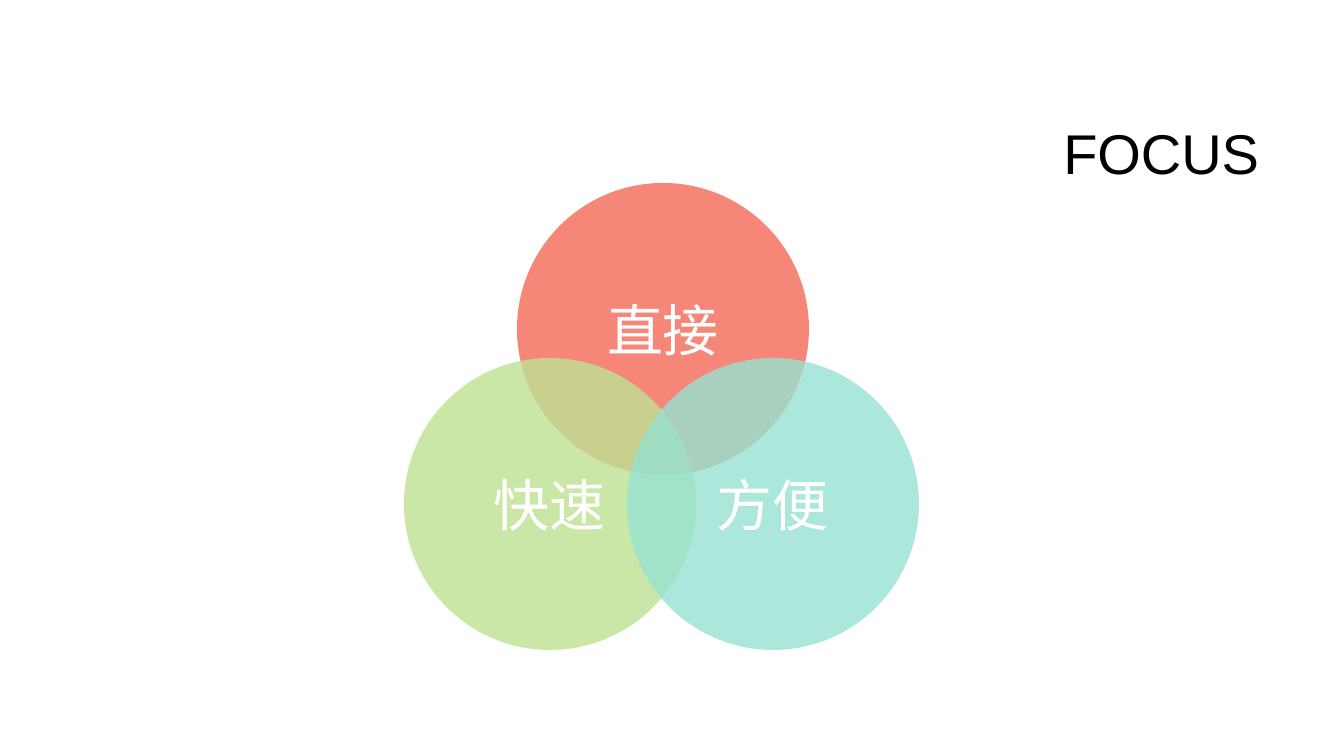
"""Builds the FOCUS slide: three overlapping translucent circles."""
import lxml.etree
import pptx
import pptx.dml.color
import pptx.enum.shapes
import pptx.enum.text
import pptx.oxml.ns
import pptx.util

PX = 914400 / 100.8
COLORS = {
    "title": "000000",
    "label": "FFFFFF",
    "direct": "F46856",
    "fast": "BEE292",
    "convenient": "96E2D2",
}


def px(length):
    return pptx.util.Emu(round(length * PX))


class FocusSlide:
    latin_font = "Arial"
    cjk_font = "Noto Sans CJK TC"
    text_size = 40
    opacity = 80

    def __init__(self, deck):
        self.slide = deck.slides.add_slide(deck.slide_layouts[6])

    def color(self, name):
        return pptx.dml.color.RGBColor.from_string(COLORS[name])

    def set_text(self, frame, text, font_name, color, align):
        frame.text = text
        frame.word_wrap = True
        frame.vertical_anchor = pptx.enum.text.MSO_ANCHOR.MIDDLE
        paragraph = frame.paragraphs[0]
        paragraph.alignment = align
        run = paragraph.runs[0]
        run.font.name = font_name
        run.font.size = pptx.util.Pt(self.text_size)
        run.font.color.rgb = self.color(color)
        east_asian = lxml.etree.SubElement(run.font._element, pptx.oxml.ns.qn("a:ea"))
        east_asian.set("typeface", font_name)
        return paragraph

    def title(self, text, left, top, width, height):
        box = self.slide.shapes.add_textbox(px(left), px(top), px(width), px(height))
        heading = self.set_text(box.text_frame, text, self.latin_font, "title",
                                pptx.enum.text.PP_ALIGN.RIGHT)
        heading.line_spacing = 0.9

    def circle(self, text, color, left, top, diameter):
        circle = self.slide.shapes.add_shape(
            pptx.enum.shapes.MSO_SHAPE.OVAL,
            px(left), px(top), px(diameter), px(diameter))
        circle.shadow.inherit = False
        circle.line.fill.background()
        circle.fill.solid()
        circle.fill.fore_color.rgb = self.color(color)
        tint = circle._element.spPr.find(
            pptx.oxml.ns.qn("a:solidFill") + "/" + pptx.oxml.ns.qn("a:srgbClr"))
        alpha = lxml.etree.SubElement(tint, pptx.oxml.ns.qn("a:alpha"))
        alpha.set("val", str(self.opacity * 1000))
        self.set_text(circle.text_frame, text, self.cjk_font, "label",
                      pptx.enum.text.PP_ALIGN.CENTER)


def main():
    deck = pptx.Presentation()
    deck.slide_width, deck.slide_height = px(1344), px(756)
    focus = FocusSlide(deck)
    focus.title("FOCUS", 320, 85, 949, 142)
    for text, color, left, top in (
        ("直接", "direct", 517, 183),
        ("快速", "fast", 404, 358),
        ("方便", "convenient", 627, 358),
    ):
        focus.circle(text, color, left, top, 292)
    deck.save("out.pptx")


if __name__ == "__main__":
    main()
